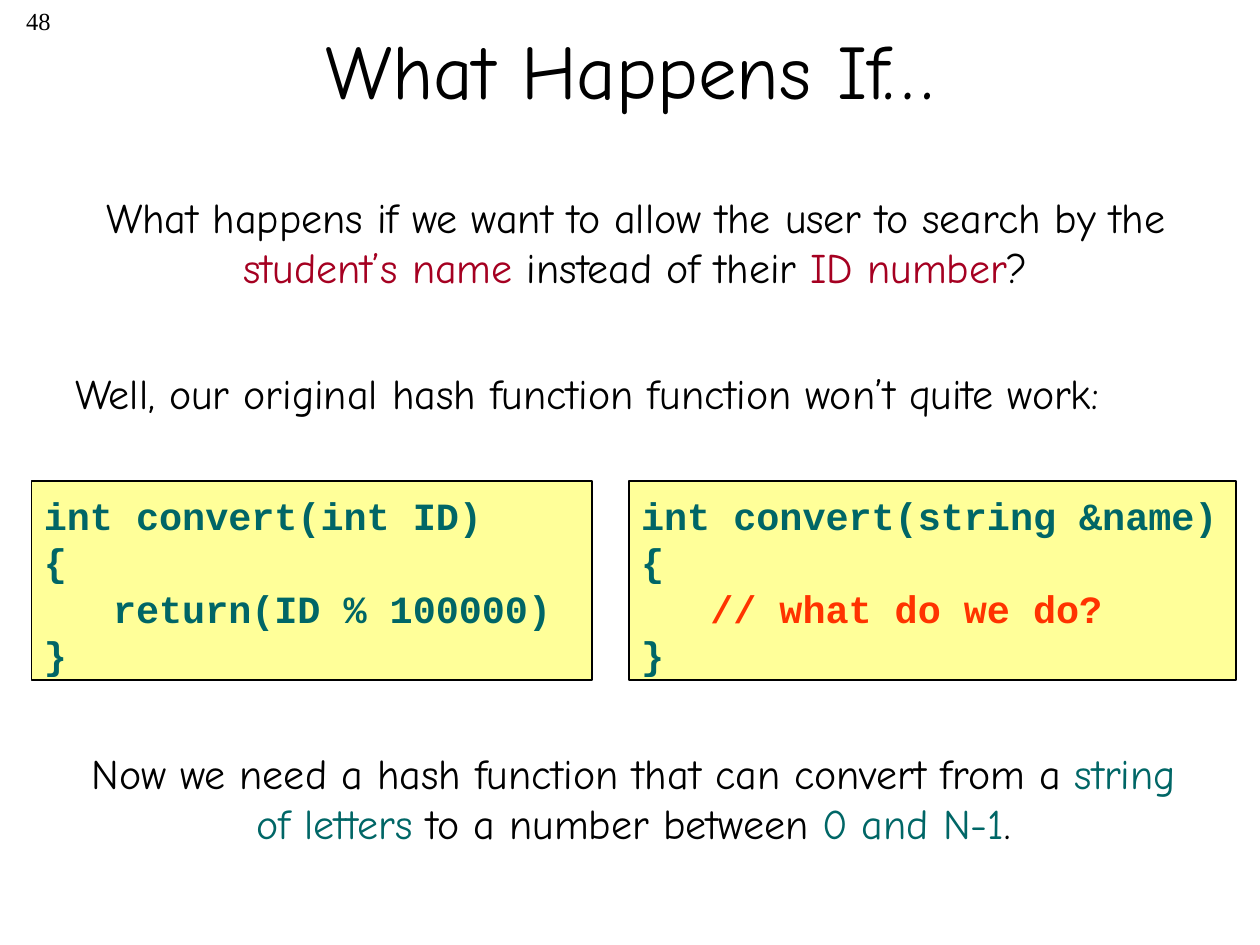
from dataclasses import dataclass

from pptx import Presentation
from pptx.dml.color import RGBColor
from pptx.enum.shapes import MSO_SHAPE
from pptx.enum.text import MSO_ANCHOR, PP_ALIGN
from pptx.shapes.autoshape import Shape
from pptx.slide import Slide
from pptx.util import Emu, Pt

PX = 9144
COLORS = {
    "black": "000000",
    "red": "A50021",
    "teal": "006666",
    "orange": "FF3300",
    "yellow": "FFFF99",
}

Run = tuple[str, str]
Line = list[Run]


@dataclass(frozen=True)
class Box:
    left: int
    top: int
    width: int
    height: int

    def emu(self) -> list[Emu]:
        return [Emu(v * PX) for v in (self.left, self.top, self.width, self.height)]


@dataclass(frozen=True)
class Style:
    font: str
    size: int
    align: PP_ALIGN = PP_ALIGN.LEFT
    bold: bool = False
    pitch: float | None = None


@dataclass(frozen=True)
class Passage:
    box: Box
    style: Style
    line: Line


@dataclass(frozen=True)
class Listing:
    box: Box
    lines: list[Line]


NUMBER = Style("Times New Roman", 14, PP_ALIGN.RIGHT)
TITLE = Style("Comic Neue", 44, PP_ALIGN.CENTER)
STATEMENT = Style("Comic Neue", 24)
CENTERED = Style("Comic Neue", 24, PP_ALIGN.CENTER)
CODE = Style("Courier New", 22, bold=True, pitch=26.6)

PASSAGES = [
    Passage(Box(-158, 0, 208, 50), NUMBER, [("48", "black")]),
    Passage(Box(42, 147, 925, 91), CENTERED, [
        ("What happens if we want to allow the user to search by the ", "black"),
        ("student’s name", "red"),
        (" instead of their ", "black"),
        ("ID number", "red"),
        ("?", "black"),
    ]),
    Passage(Box(50, 287, 916, 50), STATEMENT, [
        ("Well, our original hash function function won’t quite work:", "black"),
    ]),
    Passage(Box(48, 588, 910, 90), CENTERED, [
        ("Now we need a hash function that can convert from a ", "black"),
        ("string of letters", "teal"),
        (" to a number between ", "black"),
        ("0 and N-1", "teal"),
        (".", "black"),
    ]),
]


def convert_function(signature: str, body: str, body_color: str) -> list[Line]:
    return [
        [(signature, "teal")],
        [("{", "teal")],
        [("   " + body, body_color)],
        [("}", "teal")],
    ]


LISTINGS = [
    Listing(Box(25, 382, 445, 158),
            convert_function("int convert(int ID)", "return(ID % 100000)", "teal")),
    Listing(Box(499, 382, 482, 158),
            convert_function("int convert(string &name)", "// what do we do?", "orange")),
]


def rgb(name: str) -> RGBColor:
    return RGBColor.from_string(COLORS[name])


def write(shape: Shape, lines: list[Line], style: Style) -> None:
    frame = shape.text_frame
    frame.word_wrap = True
    frame.text = "\n".join("" for _ in lines)
    for paragraph, line in zip(frame.paragraphs, lines):
        paragraph.alignment = style.align
        if style.pitch:
            paragraph.line_spacing = Pt(style.pitch)
        for words, color in line:
            run = paragraph.add_run()
            run.text = words
            run.font.name = style.font
            run.font.size = Pt(style.size)
            run.font.bold = style.bold
            run.font.color.rgb = rgb(color)


def add_title(slide: Slide, box: Box, words: str) -> None:
    title = slide.shapes.title
    title.left, title.top, title.width, title.height = box.emu()
    write(title, [[(words, "black")]], TITLE)
    title.text_frame.vertical_anchor = MSO_ANCHOR.MIDDLE


def add_passage(slide: Slide, passage: Passage) -> None:
    write(slide.shapes.add_textbox(*passage.box.emu()), [passage.line], passage.style)


def add_listing(slide: Slide, listing: Listing) -> None:
    panel = slide.shapes.add_shape(MSO_SHAPE.RECTANGLE, *listing.box.emu())
    panel.shadow.inherit = False
    panel.fill.solid()
    panel.fill.fore_color.rgb = rgb("yellow")
    panel.line.color.rgb = rgb("black")
    panel.line.width = Pt(1)
    write(panel, listing.lines, CODE)
    frame = panel.text_frame
    frame.vertical_anchor = MSO_ANCHOR.TOP
    frame.margin_top = Emu(8 * PX)
    frame.margin_bottom = Emu(2 * PX)


def main() -> None:
    deck = Presentation()
    deck.slide_width = Emu(1000 * PX)
    deck.slide_height = Emu(750 * PX)
    slide = deck.slides.add_slide(deck.slide_layouts[5])
    add_title(slide, Box(75, -8, 850, 125), "What Happens If…")
    for passage in PASSAGES:
        add_passage(slide, passage)
    for listing in LISTINGS:
        add_listing(slide, listing)
    deck.save("out.pptx")


if __name__ == "__main__":
    main()
